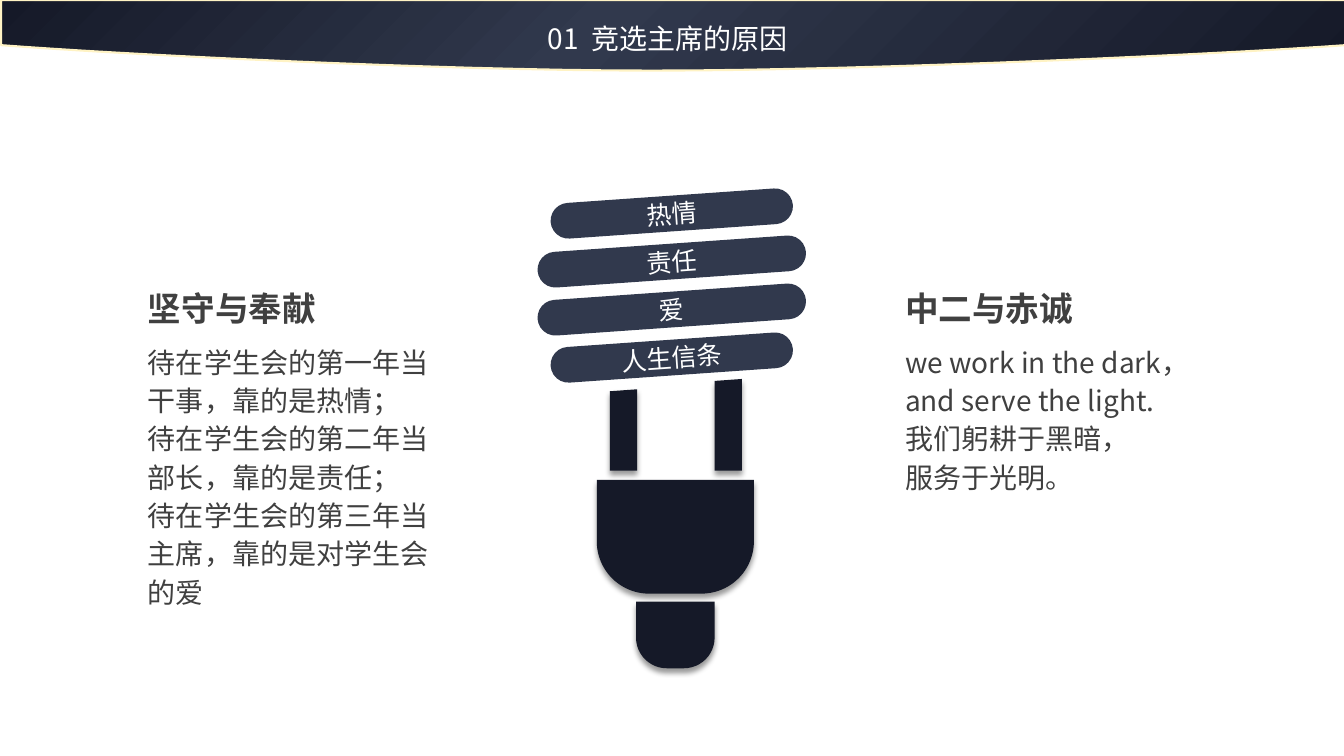
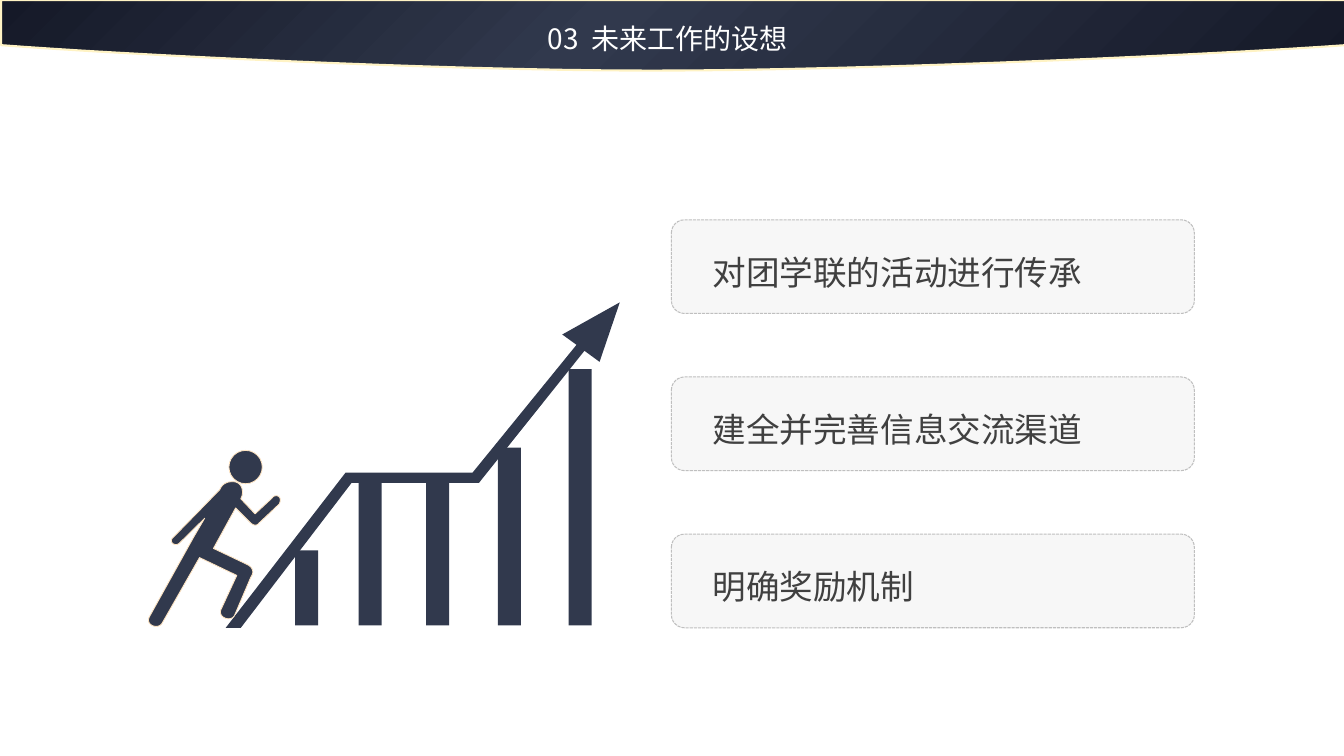
"""Build two slides of a student union election talk."""
import copy
import dataclasses

import lxml.etree
import pptx
import pptx.dml.color
import pptx.enum.dml
import pptx.enum.shapes
import pptx.enum.text
import pptx.oxml.ns
import pptx.util

Cm = pptx.util.Cm
Pt = pptx.util.Pt
MSO_SHAPE = pptx.enum.shapes.MSO_SHAPE
PP_ALIGN = pptx.enum.text.PP_ALIGN
MSO_ANCHOR = pptx.enum.text.MSO_ANCHOR
qn = pptx.oxml.ns.qn


@dataclasses.dataclass(frozen=True)
class Theme:
    """Colours, font and type sizes of the deck."""
    font: str = "Noto Sans CJK SC"
    navy: str = "31394D"
    ink: str = "151928"
    text: str = "404040"
    white: str = "FFFFFF"
    trim: str = "FFF3C4"
    skin: str = "FFE5C2"
    card: str = "F7F7F7"
    border: str = "BFBFBF"
    heading: int = 24
    body: int = 20
    label: int = 18


THEME = Theme()


def rgb(value):
    """Turn a hex string into a colour."""
    return pptx.dml.color.RGBColor.from_string(value)


def paint(s, fill, line=None, width=0.75):
    """Give a shape a flat fill, an optional line and no shadow."""
    s.shadow.inherit = False
    s.fill.solid()
    s.fill.fore_color.rgb = rgb(fill)
    if line:
        s.line.color.rgb = rgb(line)
        s.line.width = Pt(width)
    else:
        s.line.fill.background()
    return s


def style(p, size, color, bold=False, align=PP_ALIGN.LEFT, spacing=None):
    """Set the font and layout of a paragraph."""
    p.alignment = align
    p.line_spacing = spacing
    p.font.name = THEME.font
    p.font.size = Pt(size)
    p.font.bold = bold
    p.font.color.rgb = rgb(color)
    ea = lxml.etree.SubElement(p.font._element, qn("a:ea"))
    ea.set("typeface", THEME.font)


def add_shape(slide, kind, x, y, w, h, fill, line=None, width=0.75):
    """Add a painted preset shape, measured in centimetres."""
    s = slide.shapes.add_shape(kind, Cm(x), Cm(y), Cm(w), Cm(h))
    return paint(s, fill, line, width)


def add_text(slide, x, y, w, h, lines, size, **options):
    """Add a wrapping text box with one paragraph per line."""
    tf = slide.shapes.add_textbox(Cm(x), Cm(y), Cm(w), Cm(h)).text_frame
    tf.word_wrap = True
    for i, line in enumerate(lines):
        p = tf.add_paragraph() if i else tf.paragraphs[0]
        p.text = line
        style(p, size, THEME.text, **options)


def bezier(a, b, c, d, steps=16):
    """Return the points of a cubic curve after its start."""
    points = []
    for i in range(1, steps + 1):
        t = i / steps
        u = 1 - t
        weights = (u ** 3, 3 * u * u * t, 3 * u * t * t, t ** 3)
        points.append(tuple(
            sum(k * q[axis] for k, q in zip(weights, (a, b, c, d)))
            for axis in (0, 1)))
    return points


def add_outline(slide, steps, fill, line=None, width=0.75):
    """Add a closed outline from points (x, y) and curves (six numbers)."""
    points = [steps[0]]
    for step in steps[1:]:
        if len(step) == 2:
            points.append(step)
        else:
            points += bezier(points[-1], step[:2], step[2:4], step[4:])
    emu = [(Cm(x), Cm(y)) for x, y in points]
    builder = slide.shapes.build_freeform(*emu[0])
    builder.add_line_segments(emu[1:], close=True)
    return paint(builder.convert_to_shape(), fill, line, width)


def add_soft_shadow(s):
    """Add a short shadow below a shape."""
    effects = s._element.spPr.find(qn("a:effectLst"))
    shadow = lxml.etree.SubElement(
        effects, qn("a:outerShdw"), blurRad=str(Pt(4)), dist=str(Pt(3)),
        dir="5400000", algn="t", rotWithShape="0")
    color = lxml.etree.SubElement(shadow, qn("a:srgbClr"), val="000000")
    lxml.etree.SubElement(color, qn("a:alpha"), val="40000")


def add_header(slide, number, title):
    """Add the curved gradient band and its title."""
    band = add_outline(slide, [
        (0.03, 0), (33.9, 0), (33.9, 1.14),
        (31, 1.35, 22.1, 1.78, 16.43, 1.78),
        (10.8, 1.78, 2.79, 1.35, 0.03, 1.14)], THEME.ink, THEME.trim, 1.5)
    band.fill.gradient()
    band.fill.gradient_angle = 315
    stops = band._element.spPr.find(qn("a:gradFill")).find(qn("a:gsLst"))
    stops.append(copy.deepcopy(stops[0]))
    shades = ((0, THEME.ink), (0.44, THEME.navy), (1, THEME.ink))
    for stop, (position, color) in zip(band.fill.gradient_stops, shades):
        stop.position = position
        stop.color.rgb = rgb(color)
    s = slide.shapes.add_textbox(Cm(13.56), Cm(0.41), Cm(6.73), Cm(1.12))
    s.text_frame.word_wrap = True
    p = s.text_frame.paragraphs[0]
    style(p, THEME.body, THEME.white, align=PP_ALIGN.JUSTIFY)
    for text in (number, " ", title):
        r = p.add_run()
        r.text = text
        if text == " ":
            r.font._element.set("spc", "450")


def add_pill(slide, center_y, width, label):
    """Add a tilted, labelled coil of the bulb."""
    height = 0.9
    s = add_shape(slide, MSO_SHAPE.ROUNDED_RECTANGLE, 16.93 - width / 2,
                  center_y - height / 2, width, height, THEME.navy)
    s.adjustments[0] = 0.5
    s.rotation = 356
    tf = s.text_frame
    tf.margin_left = tf.margin_right = tf.margin_top = tf.margin_bottom = 0
    tf.vertical_anchor = MSO_ANCHOR.MIDDLE
    p = tf.paragraphs[0]
    p.text = label
    style(p, THEME.label, THEME.white, align=PP_ALIGN.CENTER)


def add_bulb(slide, labels):
    """Add the bulb: coils, two pins and a rounded base."""
    for i, label in enumerate(labels):
        width = 6.12 if i in (0, len(labels) - 1) else 6.78
        add_pill(slide, 5.38 + 1.21 * i, width, label)
    for x, top in ((15.37, 9.86), (18.01, 9.6)):
        add_soft_shadow(add_outline(slide, [
            (x, top), (x + 0.69, top - 0.05),
            (x + 0.69, 11.86), (x, 11.86)], THEME.ink))
    for x, y, w, h in ((15.04, 12.09, 3.96, 2.87), (16.03, 15.16, 1.98, 1.68)):
        s = add_shape(slide, MSO_SHAPE.ROUND_2_SAME_RECTANGLE,
                      x, y, w, h, THEME.ink)
        s.adjustments[0] = 0
        s.adjustments[1] = 0.46
        add_soft_shadow(s)


def add_column(slide, x, heading, lines, height):
    """Add a bold heading with body lines below it."""
    add_text(slide, x, 7.14, 5.92, 1.27, [heading], THEME.heading, bold=True)
    add_text(slide, x, 8.46, 7.85, height, lines, THEME.body, spacing=1.14)


def add_growth_chart(slide):
    """Add the pictogram of bars under a rising arrow."""
    bars = ((7.44, 13.87), (9.04, 12.17), (10.74, 12.17),
            (12.55, 11.28), (14.33, 9.3))
    for x, top in bars:
        add_shape(slide, MSO_SHAPE.RECTANGLE, x, top, 0.58, 15.76 - top,
                  THEME.navy)
    add_outline(slide, [
        (5.69, 15.82), (8.71, 11.91), (11.91, 11.91), (14.53, 8.69),
        (14.17, 8.43), (15.62, 7.62), (15.11, 9.12), (14.73, 8.84),
        (12.07, 12.17), (8.86, 12.17), (6.07, 15.82)], THEME.navy)


def add_runner(slide):
    """Add the running figure."""
    add_outline(slide, [
        (5.84, 12.14), (6.05, 12.12, 6.15, 12.3, 6.1, 12.5),
        (6.07, 12.57), (6.43, 12.95), (6.86, 12.55),
        (6.91, 12.45, 7.14, 12.47, 7.04, 12.7), (6.53, 13.18),
        (6.48, 13.25, 6.4, 13.25, 6.32, 13.18), (5.94, 12.8),
        (5.38, 13.82), (6.22, 14.22),
        (6.35, 14.28, 6.43, 14.4, 6.32, 14.55), (5.92, 15.49),
        (5.84, 15.7, 5.44, 15.56, 5.59, 15.32), (5.97, 14.5),
        (5.03, 14.05), (4.09, 15.7),
        (3.99, 15.88, 3.63, 15.75, 3.78, 15.52), (4.88, 13.54),
        (5.16, 13.06), (4.52, 13.69),
        (4.4, 13.79, 4.24, 13.64, 4.37, 13.54), (5.54, 12.34),
        (5.59, 12.22, 5.69, 12.14, 5.84, 12.14)],
        THEME.navy, THEME.skin, 0.6)
    add_shape(slide, MSO_SHAPE.OVAL, 5.77, 11.35, 0.84, 0.84,
              THEME.navy, THEME.skin, 0.6)


def add_card(slide, y, text):
    """Add a dashed card with one line of text."""
    s = add_shape(slide, MSO_SHAPE.ROUNDED_RECTANGLE, 16.92, y, 13.18, 2.36,
                  THEME.card, THEME.border)
    s.adjustments[0] = 0.14
    s.line.dash_style = pptx.enum.dml.MSO_LINE.SQUARE_DOT
    tf = s.text_frame
    tf.word_wrap = True
    tf.margin_left = Cm(0.94)
    tf.margin_top = Cm(0.24)
    tf.vertical_anchor = MSO_ANCHOR.MIDDLE
    p = tf.paragraphs[0]
    p.text = text
    style(p, THEME.heading, THEME.text, spacing=1.14)


def build_reasons(slide):
    """Fill the slide on the reasons for standing."""
    add_bulb(slide, ["热情", "责任", "爱", "人生信条"])
    add_column(slide, 3.48, "坚守与奉献", [
        "待在学生会的第一年当干事，靠的是热情；",
        "待在学生会的第二年当部长，靠的是责任；",
        "待在学生会的第三年当主席，靠的是对学生会的爱"], 7.01)
    add_column(slide, 22.56, "中二与赤诚", [
        "we work in the dark，and serve the light.",
        "我们躬耕于黑暗，", "服务于光明。"], 4.09)
    add_header(slide, "01", "竞选主席的原因")


def build_plans(slide):
    """Fill the slide on plans for future work."""
    add_growth_chart(slide)
    add_runner(slide)
    cards = ["对团学联的活动进行传承", "建全并完善信息交流渠道", "明确奖励机制"]
    for i, text in enumerate(cards):
        add_card(slide, 5.54 + 3.96 * i, text)
    add_header(slide, "03", "未来工作的设想")


def main():
    """Build and save the deck."""
    prs = pptx.Presentation()
    prs.slide_width = Cm(33.87)
    prs.slide_height = Cm(19.05)
    for build in (build_reasons, build_plans):
        build(prs.slides.add_slide(prs.slide_layouts[6]))
    prs.save("out.pptx")


if __name__ == "__main__":
    main()
